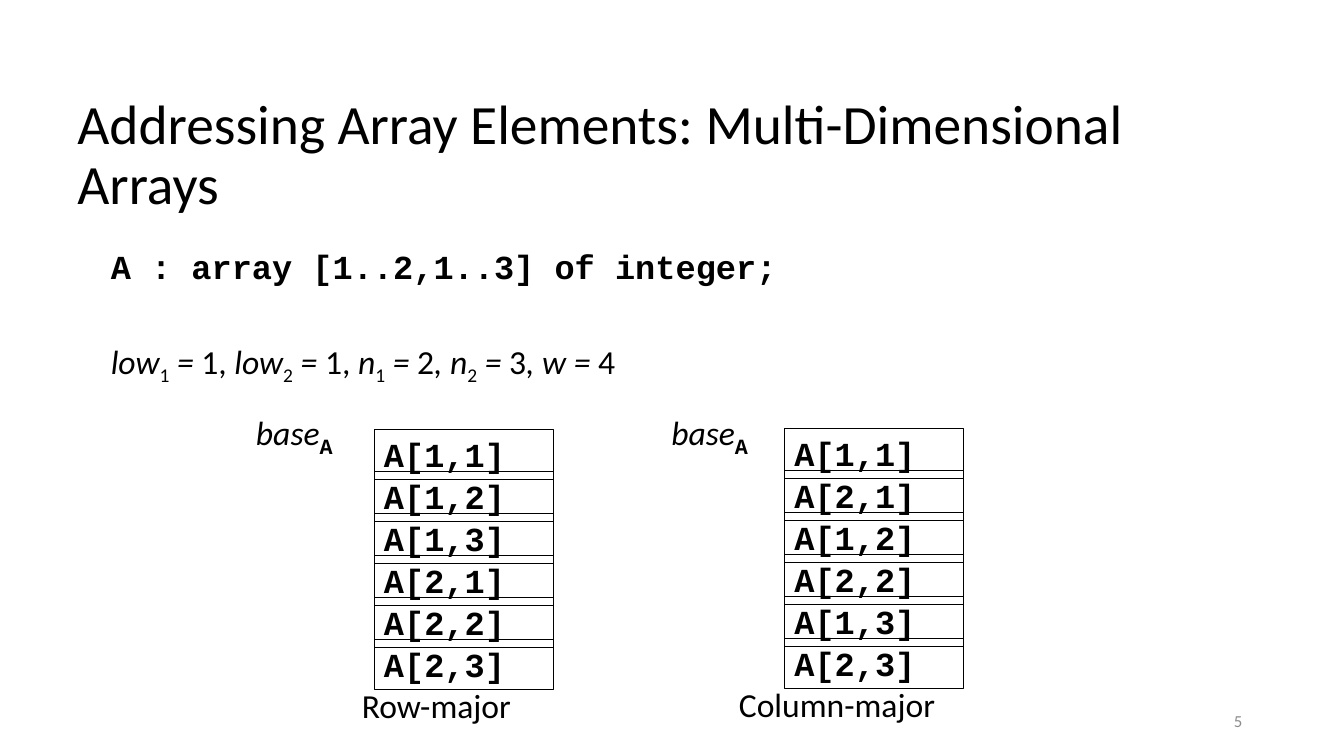
from pptx import Presentation
from pptx.dml.color import RGBColor
from pptx.enum.shapes import MSO_SHAPE
from pptx.enum.text import MSO_ANCHOR, MSO_AUTO_SIZE, PP_ALIGN
from pptx.util import Inches, Pt

RECT = MSO_SHAPE.RECTANGLE
TOP, MIDDLE = MSO_ANCHOR.TOP, MSO_ANCHOR.MIDDLE
LEFT, RIGHT = PP_ALIGN.LEFT, PP_ALIGN.RIGHT
GROW, FIXED = MSO_AUTO_SIZE.SHAPE_TO_FIT_TEXT, MSO_AUTO_SIZE.NONE
BLACK = RGBColor(0x00, 0x00, 0x00)
GRAY = RGBColor(0x8C, 0x8C, 0x8C)
BODY, CODE = "Calibri", "Courier New"

prs = Presentation()
prs.slide_width, prs.slide_height = Inches(13.33), Inches(7.5)
s = prs.slides.add_slide(prs.slide_layouts[6])


def add_text(text, x, y, w, h=0.5, size=24, font=BODY, color=BLACK, bold=False,
             align=LEFT, anchor=TOP, wrap=False, fit=GROW, spacing=None, box=False):
    left, top, width, height = Inches(x), Inches(y), Inches(w), Inches(h)
    if box:
        sp = s.shapes.add_shape(RECT, left, top, width, height)
        sp.shadow.inherit = False
        sp.fill.background()
        sp.line.color.rgb = BLACK
        sp.line.width = Pt(0.75)
    else:
        sp = s.shapes.add_textbox(left, top, width, height)
    tf = sp.text_frame
    tf.word_wrap, tf.auto_size, tf.vertical_anchor = wrap, fit, anchor
    p = tf.paragraphs[0]
    p.alignment = align
    if spacing:
        p.line_spacing = spacing
    runs = [(text, "")] if isinstance(text, str) else text
    for part, style in runs:
        r = p.add_run()
        r.text = part
        f = r.font
        f.name, f.size, f.bold, f.color.rgb = font, Pt(size), bold, color
        f.italic = style == "italic"
        if style in ("sub", "code sub"):
            r._r.get_or_add_rPr().set("baseline", "-25000")
        if style == "code sub":
            f.name, f.size, f.bold = CODE, Pt(26.7), True


add_text("5", 9.42, 6.95, 3, 0.4, size=12, color=GRAY, align=RIGHT,
         anchor=MIDDLE, wrap=True, fit=FIXED)
add_text("Addressing Array Elements: Multi-Dimensional Arrays", 0.67, 0.93, 12, 1.25,
         size=39.6, anchor=MIDDLE, wrap=True, fit=FIXED, spacing=0.9)
add_text("A : array [1..2,1..3] of integer;", 1, 2.39, 6.85, font=CODE, bold=True)

formula = []
for name, index, value in [("low", "1", "1, "), ("low", "2", "1,"), (" n", "1", "2"),
                           (", n", "2", "3")]:
    formula += [(name, "italic"), (index, "sub"), (" = ", "italic"), (value, "")]
formula += [(", w = ", "italic"), ("4", "")]
add_text(formula, 1, 3.33, 5.31)

row_major = [(i, j) for i in (1, 2) for j in (1, 2, 3)]
column_major = [(i, j) for j in (1, 2, 3) for i in (1, 2)]
layouts = [
    (row_major, 3.71, 4.26, "Row-major", 3.49, 1.7, 2.44),
    (column_major, 7.78, 4.25, "Column-major", 7.23, 2.17, 6.56),
]
for cells, x, y, caption, caption_x, caption_w, base_x in layouts:
    for k, (i, j) in enumerate(cells):
        add_text(f"A[{i},{j}]", x, y + k * 2.5 / 6, 1.78, font=CODE, bold=True,
                 wrap=True, box=True)
    add_text(caption, caption_x, y + 2.49, caption_w)
    add_text([("base", "italic"), ("A", "code sub")], base_x, 4, 0.99)

prs.save("out.pptx")
